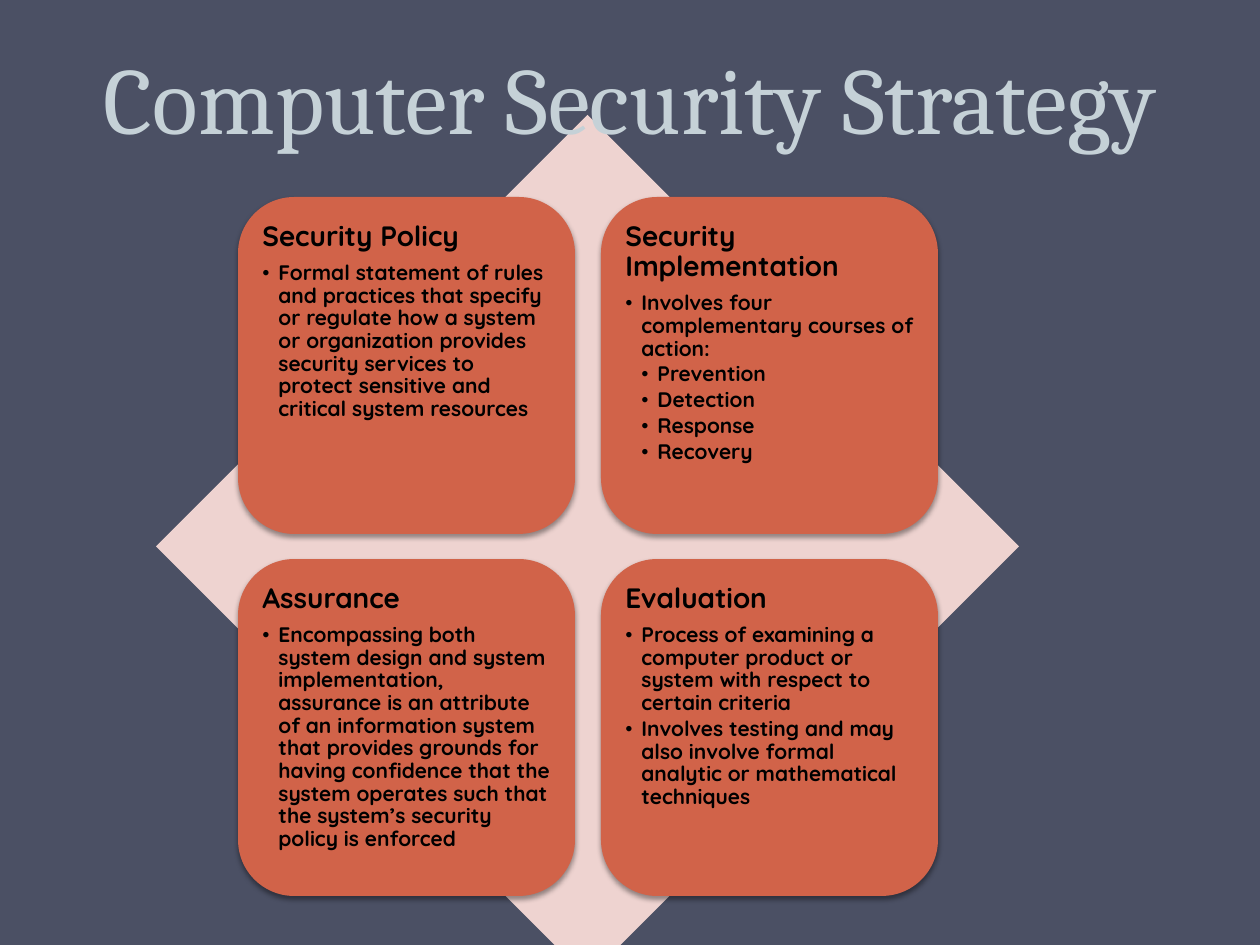
from lxml.etree import SubElement
from pptx import Presentation
from pptx.dml.color import RGBColor
from pptx.enum.shapes import MSO_SHAPE
from pptx.enum.text import MSO_ANCHOR, PP_ALIGN
from pptx.oxml.ns import qn
from pptx.util import Emu, Pt

BACKGROUND = RGBColor(0x4B, 0x50, 0x64)
DIAMOND = RGBColor(0xEE, 0xD3, 0xD0)
CARD = RGBColor(0xD1, 0x63, 0x49)
BLACK = RGBColor(0x00, 0x00, 0x00)
TITLE = RGBColor(0xC5, 0xD1, 0xD7)

PIXEL = 914400 / 126
CARD_SIZE = 337
CARD_LEFT, CARD_TOP = 238, 197
COLUMN_PITCH, ROW_PITCH = 363, 362
BULLET_INDENT = 16

CARDS = [
    ("Security Policy", [
        (1, "Formal statement of rules and practices that specify or regulate how a system or organization provides security services to protect sensitive and critical system resources"),
    ]),
    ("Security Implementation", [
        (1, "Involves four complementary courses of action:"),
        (2, "Prevention"),
        (2, "Detection"),
        (2, "Response"),
        (2, "Recovery"),
    ]),
    ("Assurance", [
        (1, "Encompassing both system design and system implementation, assurance is an attribute of an information system that provides grounds for having confidence that the system operates such that the system’s security policy is enforced"),
    ]),
    ("Evaluation", [
        (1, "Process of examining a computer product or system with respect to certain criteria"),
        (1, "Involves testing and may also involve formal analytic or mathematical techniques"),
    ]),
]


def px(length):
    return Emu(round(length * PIXEL))


def add_box(page, preset, left, top, size, color):
    box = page.shapes.add_shape(preset, px(left), px(top), px(size), px(size))
    box.fill.solid()
    box.fill.fore_color.rgb = color
    box.line.fill.background()
    box.shadow.inherit = False
    return box


deck = Presentation()
deck.slide_width, deck.slide_height = px(1260), px(945)
page = deck.slides.add_slide(deck.slide_layouts[5])
page.background.fill.solid()
page.background.fill.fore_color.rgb = BACKGROUND

add_box(page, MSO_SHAPE.DIAMOND, 156, 115, 863, DIAMOND)

for index, (heading, points) in enumerate(CARDS):
    row, column = divmod(index, 2)
    card = add_box(page, MSO_SHAPE.ROUNDED_RECTANGLE, CARD_LEFT + column * COLUMN_PITCH,
                   CARD_TOP + row * ROW_PITCH, CARD_SIZE, CARD)

    effects = card._element.spPr.find(qn("a:effectLst"))
    shadow = SubElement(effects, qn("a:outerShdw"), blurRad=str(Pt(3.1)), dist=str(Pt(1.6)),
                        dir="5400000", rotWithShape="0")
    shadow_color = SubElement(shadow, qn("a:srgbClr"), val=str(BLACK))
    SubElement(shadow_color, qn("a:alpha"), val="38000")

    frame = card.text_frame
    frame.word_wrap = True
    frame.vertical_anchor = MSO_ANCHOR.TOP
    frame.margin_left = frame.margin_right = px(8)
    frame.margin_top = frame.margin_bottom = px(9)
    frame.text = "\n".join([heading] + [text for level, text in points])

    levels = [0] + [level for level, text in points]
    for para, level in zip(frame.paragraphs, levels):
        para.level = level
        para.alignment = PP_ALIGN.LEFT
        para.line_spacing = 0.9
        para.space_after = Pt(1.8 if level else 5.6)
        if level:
            properties = para._p.get_or_add_pPr()
            properties.set("marL", str(px(level * BULLET_INDENT)))
            properties.set("indent", str(px(-BULLET_INDENT)))
            SubElement(properties, qn("a:buFont"), typeface="Quicksand")
            SubElement(properties, qn("a:buChar"), char="•")
        for span in para.runs:
            span.font.name = "Quicksand"
            span.font.size = Pt(12 if level else 16)
            span.font.bold = True
            span.font.color.rgb = BLACK

title = page.shapes.title
title.left, title.top, title.width, title.height = px(0), px(2), px(1260), px(158)
title.text_frame.text = "Computer Security Strategy"
title.text_frame.word_wrap = True
title.text_frame.vertical_anchor = MSO_ANCHOR.BOTTOM
para = title.text_frame.paragraphs[0]
para.alignment = PP_ALIGN.CENTER
para.line_spacing = Pt(58)
span = para.runs[0]
span.font.name = "Cambria"
span.font.size = Pt(54)
span.font.color.rgb = TITLE
page.shapes._spTree.append(title._element)

deck.save("out.pptx")
